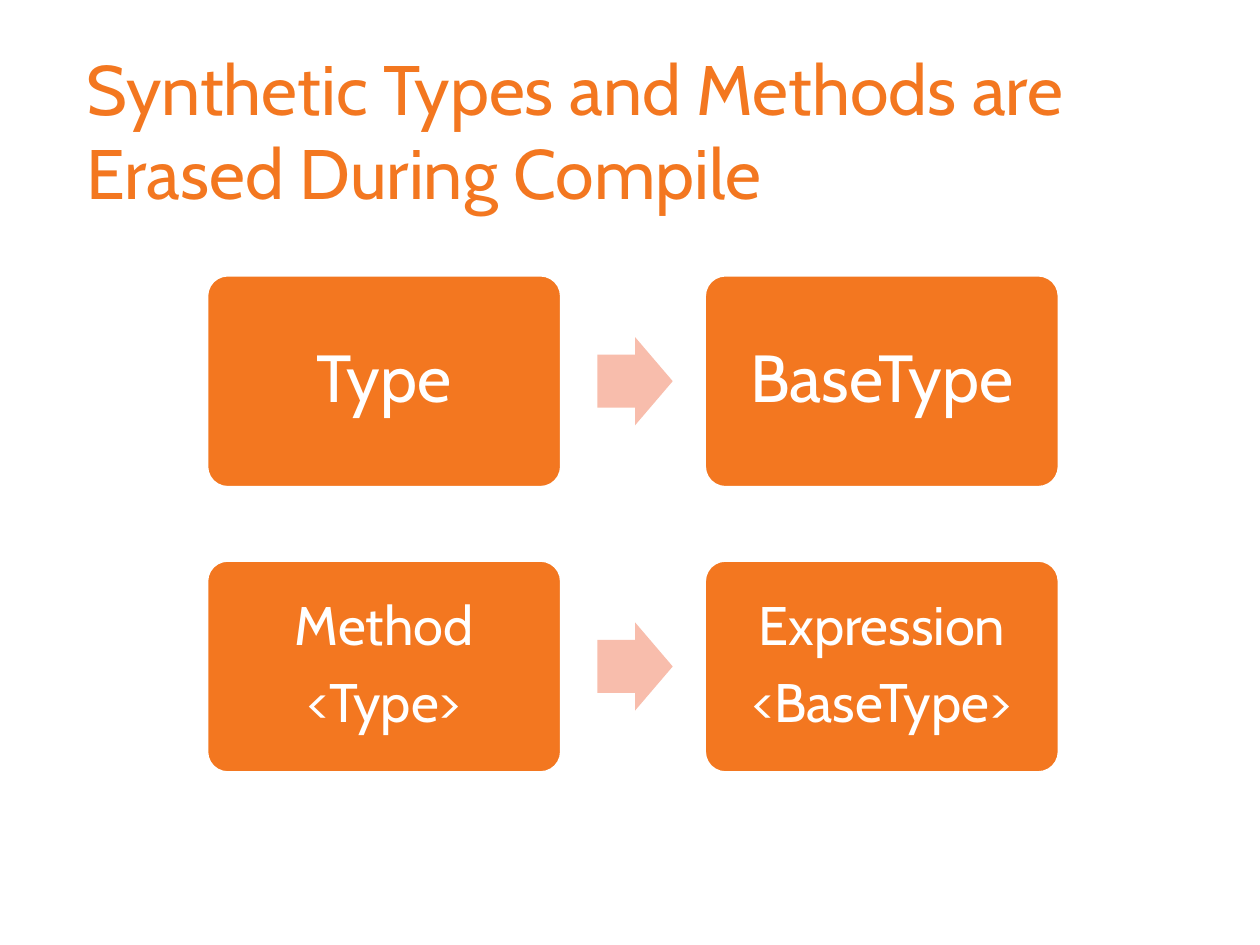
"""Build a slide showing how synthetic types and methods are erased."""
from pptx import Presentation
from pptx.dml.color import RGBColor
from pptx.enum.shapes import MSO_SHAPE
from pptx.enum.text import MSO_ANCHOR, PP_ALIGN
from pptx.util import Pt

ROUNDED = MSO_SHAPE.ROUNDED_RECTANGLE
ARROW = MSO_SHAPE.RIGHT_ARROW
TOP, MIDDLE = MSO_ANCHOR.TOP, MSO_ANCHOR.MIDDLE
LEFT, CENTER = PP_ALIGN.LEFT, PP_ALIGN.CENTER

TITLE = "Synthetic Types and Methods are Erased During Compile"
ROWS = [
    {"cards": [["Type"], ["BaseType"]], "size": 38, "inset": 8},
    {"cards": [["Method", "<Type>"], ["Expression", "<BaseType>"]],
     "size": 31, "inset": 6},
]
COLORS = {"orange": "F37720", "pink": "F8BDAC", "white": "FFFFFF"}
FONT = "Cabin"

GRID_LEFT, GRID_TOP = 118, 157
CARD_WIDTH, CARD_HEIGHT = 203, 121.7
COLUMN_STEP, ROW_STEP = 284.4, 163
ARROW_WIDTH, ARROW_HEIGHT = 43, 50.4
ARROW_LEFT = GRID_LEFT + CARD_WIDTH + 20.4


def color(name):
    return RGBColor.from_string(COLORS[name])


def write(frame, lines, size, fill, align=LEFT, anchor=TOP,
          spacing=1.0, after=0, inset=(7.2, 3.6)):
    frame.word_wrap = True
    frame.vertical_anchor = anchor
    frame.margin_left = frame.margin_right = Pt(inset[0])
    frame.margin_top = frame.margin_bottom = Pt(inset[1])
    for index, line in enumerate(lines):
        para = frame.add_paragraph() if index else frame.paragraphs[0]
        para.alignment = align
        para.line_spacing = spacing
        para.space_after = Pt(after)
        span = para.add_run()
        span.text = line
        span.font.name = FONT
        span.font.size = Pt(size)
        span.font.color.rgb = color(fill)


def add_figure(page, kind, left, top, width, height, fill, adjustments):
    figure = page.shapes.add_shape(kind, Pt(left), Pt(top), Pt(width), Pt(height))
    figure.shadow.inherit = False
    figure.fill.solid()
    figure.fill.fore_color.rgb = color(fill)
    figure.line.fill.background()
    for index, value in enumerate(adjustments):
        figure.adjustments[index] = value
    return figure


def main():
    deck = Presentation()
    deck.slide_width, deck.slide_height = Pt(720), Pt(540)
    page = deck.slides.add_slide(deck.slide_layouts[6])

    title = page.shapes.add_textbox(Pt(42.5), Pt(22.5), Pt(633.6), Pt(90))
    write(title.text_frame, [TITLE], 40, "orange")

    for row, item in enumerate(ROWS):
        top = GRID_TOP + row * ROW_STEP
        for column, lines in enumerate(item["cards"]):
            card = add_figure(page, ROUNDED, GRID_LEFT + column * COLUMN_STEP, top,
                              CARD_WIDTH, CARD_HEIGHT, "orange", [0.1])
            card.line.color.rgb = color("white")
            card.line.width = Pt(2)
            write(card.text_frame, lines, item["size"], "white", align=CENTER,
                  anchor=MIDDLE, spacing=0.9, after=round(item["size"] * 0.35, 1),
                  inset=(item["inset"], item["inset"]))
        add_figure(page, ARROW, ARROW_LEFT, top + (CARD_HEIGHT - ARROW_HEIGHT) / 2,
                   ARROW_WIDTH, ARROW_HEIGHT, "pink", [0.6, 0.5])

    deck.save("out.pptx")


if __name__ == "__main__":
    main()
